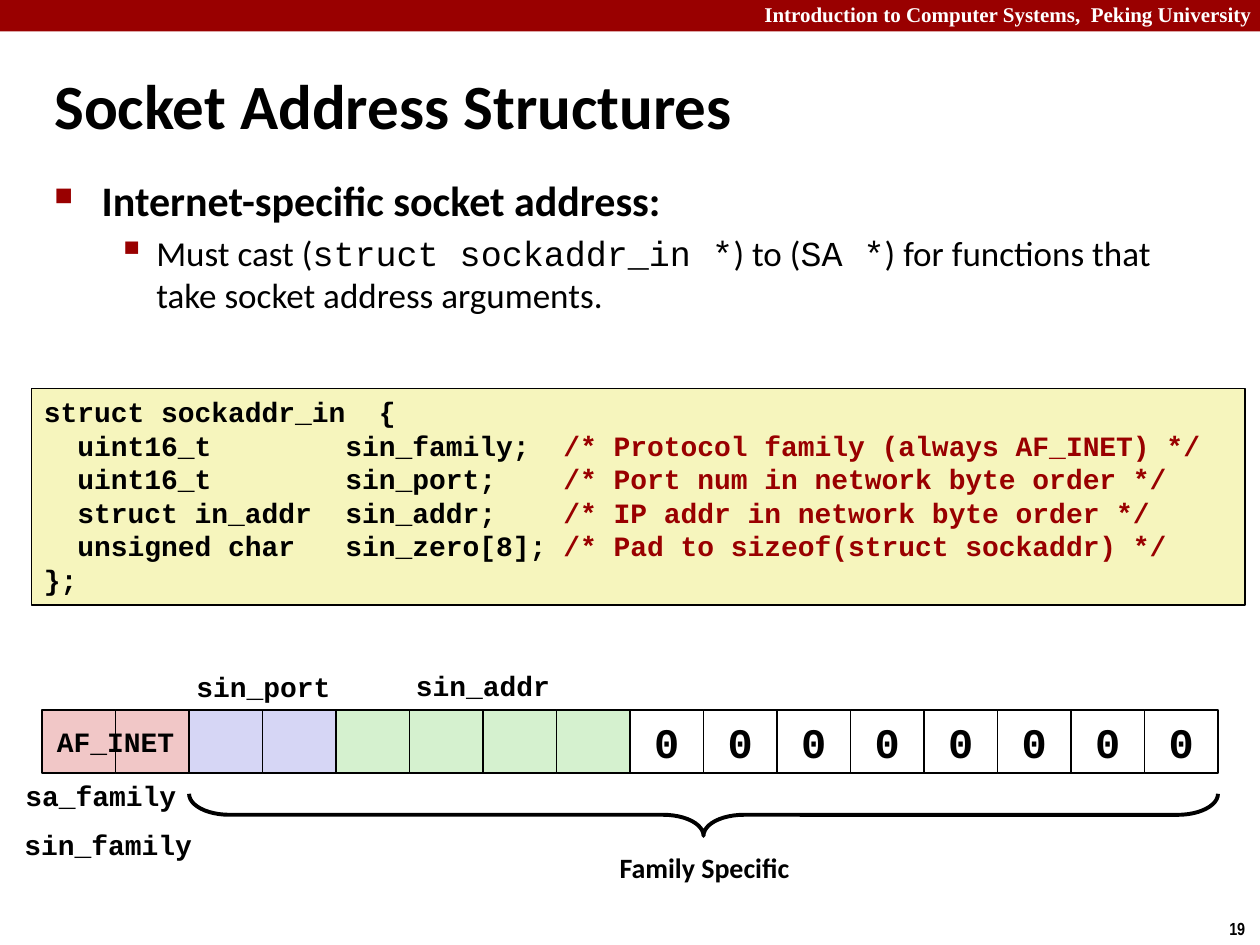
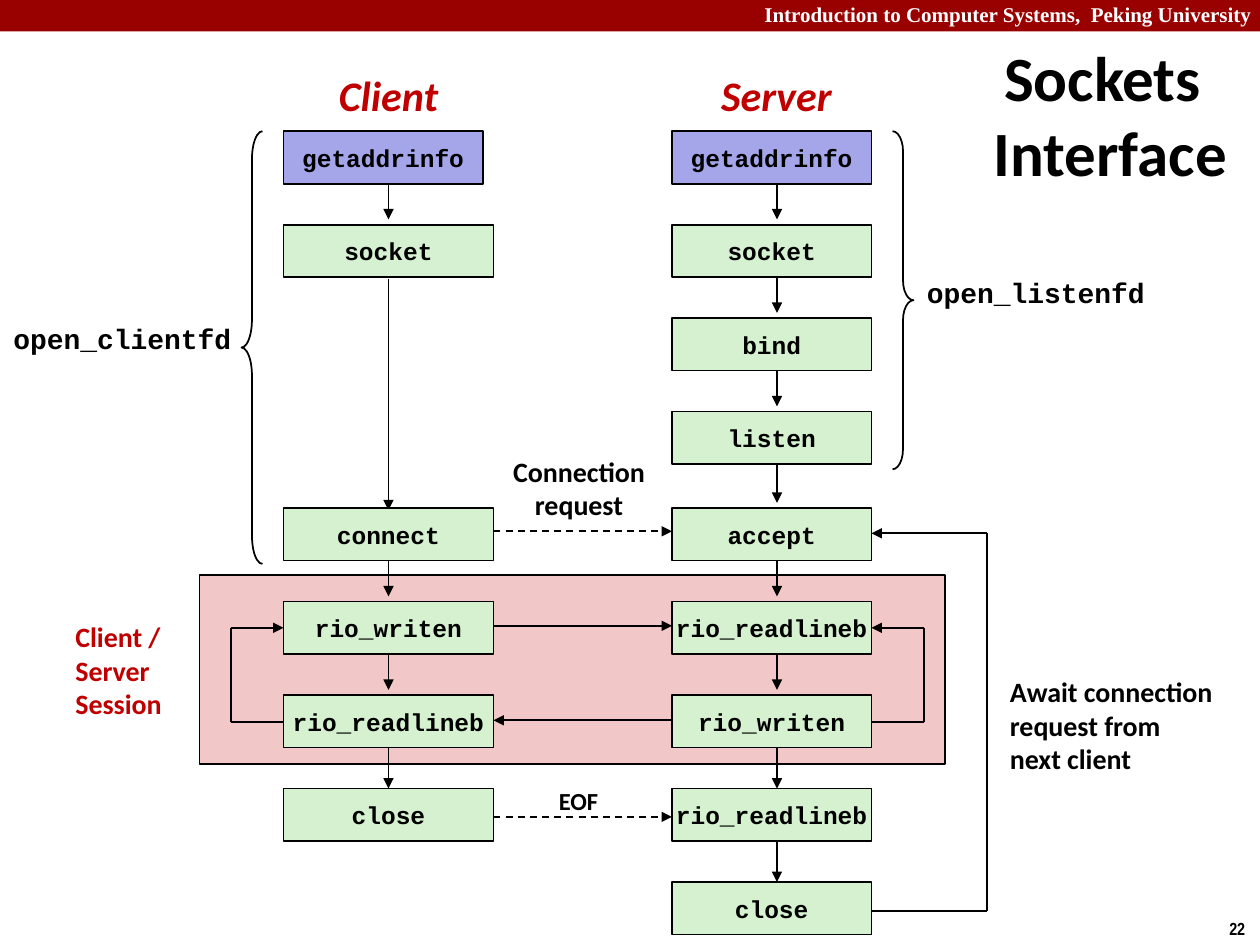
from pptx import Presentation
from pptx.dml.color import RGBColor
from pptx.enum.dml import MSO_LINE
from pptx.enum.shapes import MSO_CONNECTOR, MSO_SHAPE
from pptx.enum.text import MSO_ANCHOR, PP_ALIGN
from pptx.oxml.ns import qn
from pptx.util import Pt
from lxml import etree

PX = 7620  # EMU in one px: 120 px to the inch
RECTANGLE = MSO_SHAPE.RECTANGLE
LEFT_BRACE, RIGHT_BRACE = MSO_SHAPE.LEFT_BRACE, MSO_SHAPE.RIGHT_BRACE
STRAIGHT = MSO_CONNECTOR.STRAIGHT
DASH = MSO_LINE.DASH
LEFT, CENTER, RIGHT = PP_ALIGN.LEFT, PP_ALIGN.CENTER, PP_ALIGN.RIGHT
TOP, MIDDLE = MSO_ANCHOR.TOP, MSO_ANCHOR.MIDDLE

SANS, MONO, SERIF, NARROW = "Calibri", "Courier New", "Times New Roman", "Arial Narrow"
COLORS = {
    "black": "000000", "white": "FFFFFF", "crimson": "990000", "red": "C00000",
    "pink": "F1C7C7", "lilac": "D6D6F5", "violet": "A5A5E9",
    "green": "D5F1CF", "mint": "D5F1D2", "yellow": "F6F5BD",
}


def color(name):
    return RGBColor.from_string(COLORS[name])


def add_xml(parent, tag, **attributes):
    return etree.SubElement(parent, qn(tag), attributes)


def write(para, spans, font=SANS, size=16, ink="black", bold=True, italic=False,
          align=LEFT, margin=0, hang=0, before=0, bullet=None, bullet_size=100):
    """Fill a paragraph with text, or with (text, changes) spans."""
    properties = para._p.get_or_add_pPr()
    properties.set("marL", str(margin * PX))
    properties.set("indent", str(-hang * PX))
    para.alignment = align
    para.space_before = Pt(before)
    if bullet:
        bullet_color = add_xml(properties, "a:buClr")
        add_xml(bullet_color, "a:srgbClr", val=COLORS["crimson"])
        add_xml(properties, "a:buSzPct", val=str(bullet_size * 1000))
        add_xml(properties, "a:buChar", char=bullet)
    base = {"font": font, "size": size, "ink": ink, "bold": bold, "italic": italic}
    for text, changes in [(spans, {})] if isinstance(spans, str) else spans:
        look = {**base, **changes}
        span = para.add_run()
        span.text = text
        span.font.name = look["font"]
        span.font.size = Pt(look["size"])
        span.font.bold = look["bold"]
        span.font.italic = look["italic"]
        span.font.color.rgb = color(look["ink"])


class Deck:
    def __init__(self, width, height):
        self.file = Presentation()
        self.file.slide_width, self.file.slide_height = width * PX, height * PX
        self.width = width
        self.page = None

    def add_page(self, number):
        """Start a page with the course band and the page number."""
        self.page = self.file.slides.add_slide(self.file.slide_layouts[6])
        self.shape((0, 0, self.width, 30), fill="crimson", line=None)
        self.text((490, -4, 719, 36), "Introduction to Computer Systems,  Peking University ",
                  wrap=True, font=SERIF, size=12, ink="white", align=RIGHT)
        self.text((1159, 868, 41, 32), str(number), font=NARROW, size=10)

    def fill_frame(self, box, paras, wrap, anchor, **style):
        frame = box.text_frame
        frame.word_wrap = wrap
        frame.vertical_anchor = anchor
        for index, spans in enumerate([paras] if isinstance(paras, str) else paras):
            para = frame.add_paragraph() if index else frame.paragraphs[0]
            write(para, spans, **style)

    def text(self, place, paras, wrap=False, anchor=TOP, **style):
        box = self.page.shapes.add_textbox(*(length * PX for length in place))
        self.fill_frame(box, paras, wrap, anchor, **style)
        return box

    def title(self, place, text, align=LEFT):
        self.text(place, text, wrap=True, anchor=MIDDLE, size=36, align=align,
                  margin=15, hang=15)

    def shape(self, place, kind=RECTANGLE, fill=None, line=1, paras=None,
              anchor=MIDDLE, **style):
        shape = self.page.shapes.add_shape(kind, *(length * PX for length in place))
        shape.shadow.inherit = False
        if fill:
            shape.fill.solid()
            shape.fill.fore_color.rgb = color(fill)
        else:
            shape.fill.background()
        if line:
            shape.line.width = Pt(line)
            shape.line.color.rgb = color("black")
        else:
            shape.line.fill.background()
        if paras:
            self.fill_frame(shape, paras, False, anchor, **style)
        return shape

    def brace(self, place, kind, curve, line=1, turn=0):
        brace = self.shape(place, kind, line=line)
        brace.adjustments[0] = curve
        brace.adjustments[1] = 0.5
        brace.rotation = turn

    def arrow(self, *points, dashed=False):
        """Join the points with straight lines; the last one has an arrowhead."""
        for start, end in zip(points, points[1:]):
            line = self.page.shapes.add_connector(
                STRAIGHT, *(length * PX for length in start + end))
            line.line.width = Pt(1)
            line.line.color.rgb = color("black")
            if dashed:
                line.line.dash_style = DASH
            if end == points[-1]:
                add_xml(line.line._get_or_add_ln(), "a:tailEnd", type="triangle")
            add_xml(line.element.spPr, "a:effectLst")


def build_address_page(deck):
    deck.add_page(19)
    deck.title((40, 48, 1144, 102), "Socket Address Structures")

    # Bulleted text
    body = deck.text((40, 160, 1091, 220), "Internet-specific socket address:", wrap=True,
                     size=24, margin=45, hang=45, bullet="■", bullet_size=60)
    code = {"font": MONO}
    write(body.text_frame.add_paragraph(),
          [("Must cast (", {}), ("struct sockaddr_in *", code), (") to (", {}),
           ("SA *", code), (") for functions that take socket address arguments.", {})],
          size=20, bold=False, margin=97, hang=37, before=4, bullet="▪", bullet_size=110)

    # Bytes of the address
    fields = [("pink", 2, None), ("lilac", 2, None), ("green", 4, None), ("white", 8, "0")]
    cells = [(fill, digit) for fill, count, digit in fields for _ in range(count)]
    for index, (fill, digit) in enumerate(cells):
        deck.shape((40 + 70 * index, 676, 70, 60), fill=fill, paras=digit,
                   font=MONO, size=24, align=CENTER)
    deck.brace((650, 286, 40, 980), RIGHT_BRACE, 0.958, line=2.25, turn=90)

    # Declaration of the structure
    members = [
        ("  uint16_t        sin_family;  ", "/* Protocol family (always AF_INET) */"),
        ("  uint16_t        sin_port;    ", "/* Port num in network byte order */"),
        ("  struct in_addr  sin_addr;    ", "/* IP addr in network byte order */"),
        ("  unsigned char   sin_zero[8]; ", "/* Pad to sizeof(struct sockaddr) */"),
    ]
    lines = [[(member, {}), (comment, {"ink": "crimson"})] for member, comment in members]
    deck.shape((30, 370, 1156, 206), fill="yellow", anchor=TOP, font=MONO,
               paras=["struct sockaddr_in  {", *lines, "};"])

    # Field names
    for left, top, width, name in [
        (12, 736, 168, "sa_family"), (10, 782, 186, "sin_family"),
        (41, 684, 138, "AF_INET"), (174, 632, 154, "sin_port"),
        (383, 631, 154, "sin_addr"),
    ]:
        deck.text((left, top, width, 44), name, font=MONO, align=CENTER)
    deck.text((577, 804, 188, 44), "Family Specific", align=CENTER)


def build_interface_page(deck):
    deck.add_page(22)
    client_left, server_left, server_right = 270, 640, 830
    client_right = 470
    client_axis, server_axis = 370, 740
    rows = [125 + 89 * i for i in range(4)] + [484 + 89 * i for i in range(5)]

    # Session area with its two loops
    deck.shape((190, 548, 710, 180), fill="pink")
    for side, turn in [(server_right, 880), (client_left, 220)]:
        deck.arrow((side, 688), (turn, 688), (turn, 598), (side, 598))
    deck.text((60, 584, 110, 108), ["Client / Server", "Session"], wrap=True,
              anchor=MIDDLE, ink="red")

    # Headings
    deck.title((910, 30, 280, 157), "Sockets Interface", align=CENTER)
    for left, width, name in [(310, 120, "Client"), (674, 131, "Server")]:
        deck.text((left, 60, width, 60), name, anchor=MIDDLE, size=24, ink="red",
                  italic=True, align=CENTER)

    # Steps downwards: the last two arrows touch the next box
    for index, (top, following) in enumerate(zip(rows, rows[1:])):
        end = following - (0 if index >= 6 else 5)
        deck.arrow((server_axis, top + 45), (server_axis, end))
        if index in (0, 4, 5, 6):
            deck.arrow((client_axis, top + 45), (client_axis, end))
    deck.arrow((client_axis, 266), (client_axis, 486))

    # Messages between the two sides
    for y in (506, 778):
        deck.arrow((client_right, y), (server_left, y), dashed=True)
    deck.arrow((client_right, 596), (server_left, 596))
    deck.arrow((server_left, 686), (client_right, 686))
    deck.arrow((server_right, 868), (940, 868), (940, 508), (server_right, 508))

    # Calls, by row
    client_calls = {0: "getaddrinfo", 1: "socket", 4: "connect", 5: "rio_writen",
                    6: "rio_readlineb", 7: "close"}
    server_calls = dict(enumerate(["getaddrinfo", "socket", "bind", "listen", "accept",
                                   "rio_readlineb", "rio_writen", "rio_readlineb", "close"]))
    fills = {"getaddrinfo": "violet", "socket": "mint"}
    for left, full_width, calls in [(client_left, 200, client_calls),
                                    (server_left, 190, server_calls)]:
        for row, call in calls.items():
            width = full_width if row else 190
            deck.shape((left, rows[row], width, 50), fill=fills.get(call, "green"),
                       paras=call, font=MONO, size=14, align=CENTER)

    # Helper functions
    deck.brace((850, 125, 20, 322), RIGHT_BRACE, 0.958)
    deck.brace((230, 125, 20, 412), LEFT_BRACE, 1.333)
    for left, top, name in [(870, 256, "open_listenfd"), (0, 300, "open_clientfd")]:
        deck.text((left, top, 233, 44), name, anchor=MIDDLE, font=MONO, align=CENTER)

    # Notes on the arrows
    deck.text((476, 426, 151, 77), ["Connection", "request"], anchor=MIDDLE, align=CENTER)
    deck.text((520, 742, 62, 41), "EOF", anchor=MIDDLE, size=14, align=CENTER)
    deck.text((950, 636, 220, 109), ["Await connection", "request from", "next client"],
              anchor=MIDDLE)


def main():
    deck = Deck(1200, 900)
    build_address_page(deck)
    build_interface_page(deck)
    deck.file.save("out.pptx")


if __name__ == "__main__":
    main()
